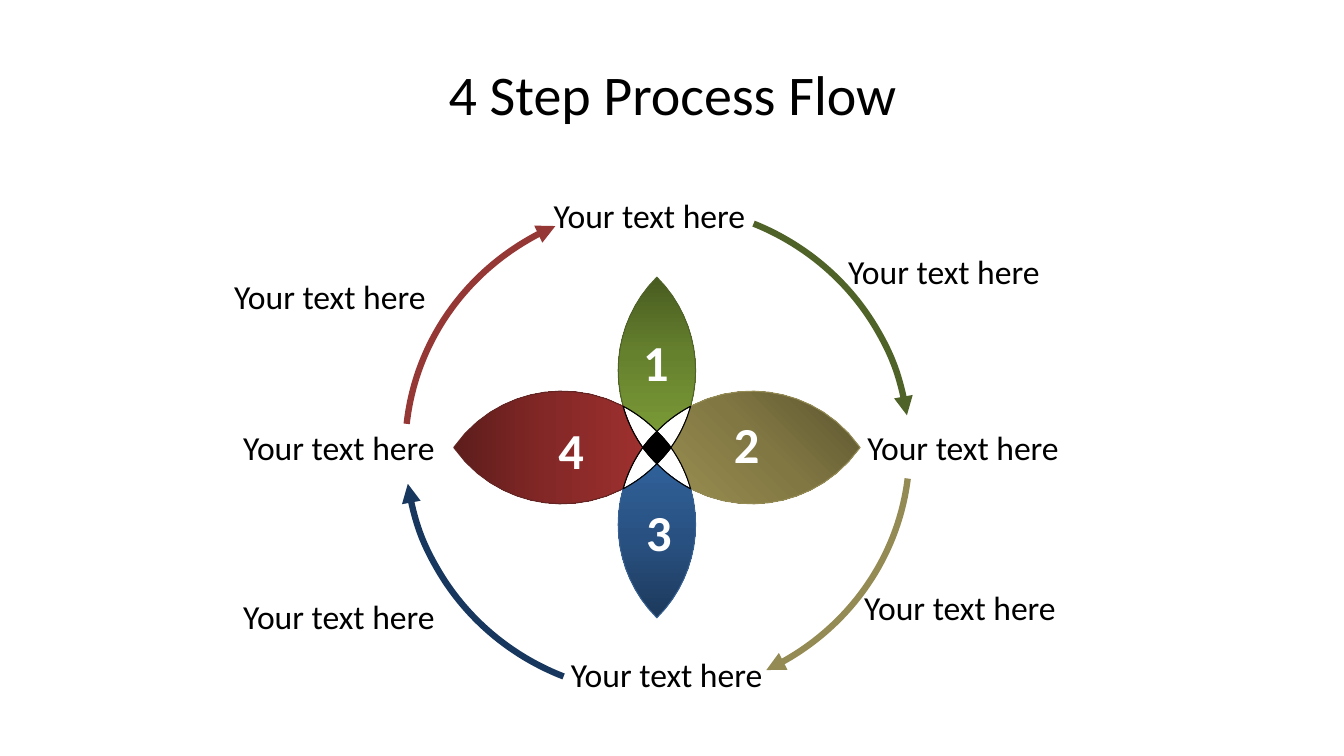
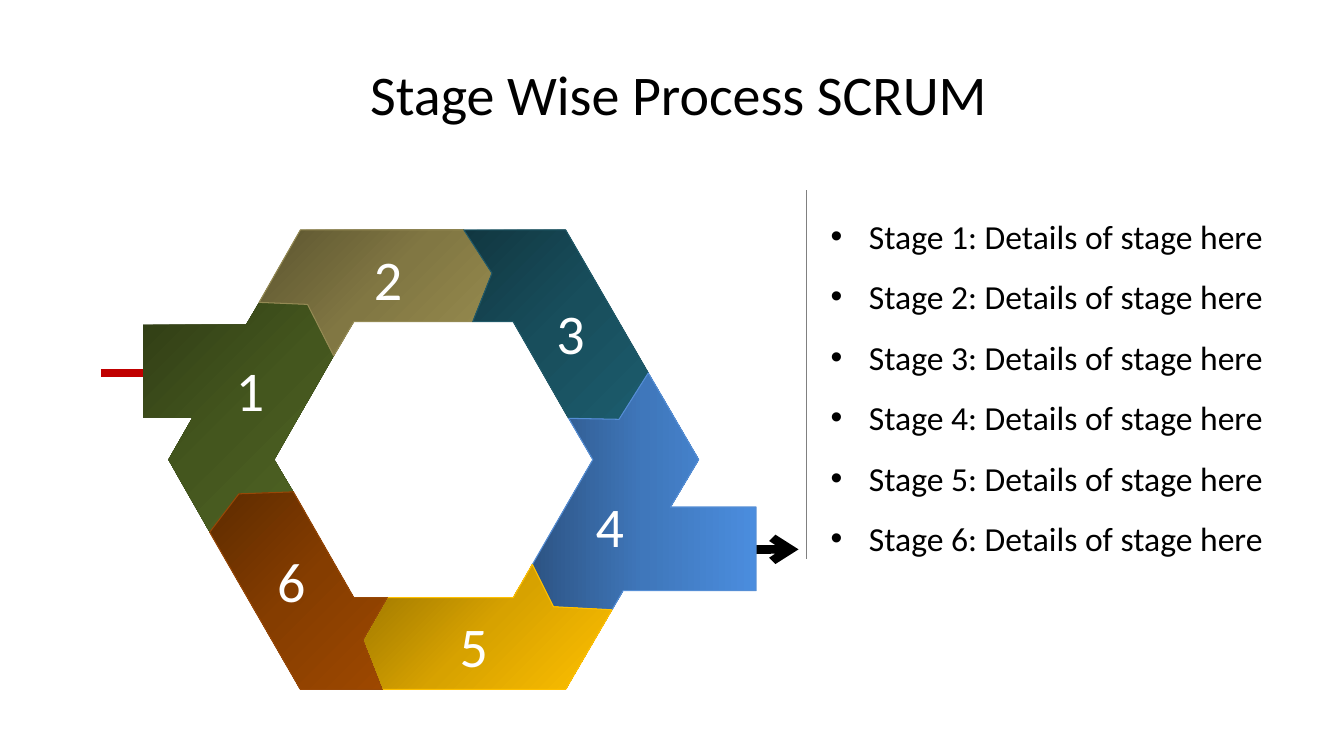
"""Build two process slides: a four-step flow and a six-stage ring."""
import copy
import itertools
import math

import pptx
import pptx.dml.color
import pptx.enum.shapes
import pptx.enum.text
import pptx.oxml.ns
import pptx.oxml.xmlchemy
import pptx.util
from lxml import etree
from pptx.util import Inches

FONT = "Calibri"
COLORS = {
    "black": "000000", "white": "FFFFFF", "rule": "808080", "entry": "C00000",
    "green": "799936", "olive": "998D4F", "blue": "306099", "red": "9C302E",
    "moss": "516624", "teal": "1C5C6D", "sky": "4B8DDE", "gold": "FFC000",
    "rust": "9E4800", "green edge": "4F6228", "olive edge": "948A54",
    "blue edge": "376092", "red edge": "632523", "teal edge": "215968",
    "sky edge": "558ED5", "gold edge": "FFC000", "rust edge": "984807",
    "navy arc": "17375E", "red arc": "953735",
}
SHADES = (0.594, 0.843, 1)
HUB = (6.515, 4.44)
BEND = 1.31
LABEL = "Your text here"
LABELS = [(5.37, 1.88), (8.29, 2.44), (8.48, 4.19), (8.45, 5.77),
          (5.54, 6.44), (2.29, 5.86), (2.29, 4.19), (2.2, 2.69)]
ARCS = [("green edge", 293.07, 352.18), ("olive edge", 276.6, 333.72),
        ("navy arc", 292.46, 352.18), ("red arc", 275.87, 335.49)]
DIGITS = [(6.28, 3.24), (7.18, 4.05), (6.31, 4.92), (5.44, 4.11)]
STAGES = [
    ("moss", 45, (2.24, 3.48),
     [(2.57, 3), (3.05, 3.02), (3.31, 3.53), (2.72, 4.56), (2.91, 4.88),
      (2.37, 4.9), (2.08, 5.28), (1.67, 4.56), (1.91, 4.14), (1.42, 4.14),
      (1.42, 3.22), (2.44, 3.22)]),
    ("olive", 45, (3.61, 2.38),
     [(4.6, 2.28), (2.98, 2.28), (2.57, 3), (3.05, 3.02), (3.31, 3.53),
      (3.51, 3.19), (4.69, 3.19), (4.88, 2.71)]),
    ("teal", 45, (5.42, 2.91),
     [(6.43, 3.7), (5.61, 2.28), (4.6, 2.28), (4.88, 2.71), (4.69, 3.19),
      (5.09, 3.19), (5.64, 4.15), (6.14, 4.16)]),
    ("sky", 0, (5.81, 4.83),
     [(6.43, 3.7), (6.93, 4.56), (6.65, 5.03), (7.5, 5.03), (7.5, 5.86),
      (6.18, 5.86), (6.07, 6.05), (5.49, 6.02), (5.28, 5.6), (5.88, 4.56),
      (5.64, 4.15), (6.14, 4.16)]),
    ("gold", 45, (4.46, 6.02),
     [(5.49, 6.02), (5.28, 5.6), (5.09, 5.93), (3.84, 5.93), (3.6, 6.35),
      (3.79, 6.84), (5.61, 6.84), (6.07, 6.05)]),
    ("rust", 45, (2.65, 5.37),
     [(3.84, 5.93), (3.51, 5.93), (2.91, 4.88), (2.37, 4.9), (2.08, 5.28),
      (2.98, 6.84), (3.79, 6.84), (3.6, 6.35)]),
]


def tint(name):
    """Return the named colour."""
    return pptx.dml.color.RGBColor.from_string(COLORS[name])


def style(para, size, color="black", bold=False):
    """Set the font of a paragraph."""
    font = para.font
    font.name, font.size, font.bold = FONT, pptx.util.Pt(size), bold
    font.color.rgb = tint(color)


def write(slide, box, lines, size, color="black", bold=False, align="LEFT", wrap=False):
    """Add a text box and return its frame."""
    frame = slide.shapes.add_textbox(*map(Inches, box)).text_frame
    frame.word_wrap = wrap
    frame.auto_size = pptx.enum.text.MSO_AUTO_SIZE.SHAPE_TO_FIT_TEXT
    frame.text = "\n".join(lines)
    for para in frame.paragraphs:
        para.alignment = getattr(pptx.enum.text.PP_ALIGN, align)
        style(para, size, color, bold)
    return frame


def title(slide, text, left=0.67):
    """Add the slide title."""
    frame = write(slide, (left, 0.3, 12, 1.25), [text], 40, align="CENTER", wrap=True)
    frame.auto_size = pptx.enum.text.MSO_AUTO_SIZE.NONE
    frame.vertical_anchor = pptx.enum.text.MSO_ANCHOR.MIDDLE


def stroke(line, color, width, head=None):
    """Set a line's colour, width and arrowhead."""
    line.color.rgb = tint(color)
    line.width = pptx.util.Pt(width)
    if head:
        tail = etree.SubElement(line._get_or_add_ln(), pptx.oxml.ns.qn("a:tailEnd"))
        tail.set("type", head)


def link(slide, start, end, color, width, head=None):
    """Add a straight line."""
    kind = pptx.enum.shapes.MSO_CONNECTOR.STRAIGHT
    line = slide.shapes.add_connector(kind, *map(Inches, start + end))
    stroke(line.line, color, width, head)
    etree.SubElement(line._element.spPr, pptx.oxml.ns.qn("a:effectLst"))


def shade(shape, color, angle):
    """Fill a shape with dark to full shades, the angle running clockwise."""
    fill = shape.fill
    fill.gradient()
    fill.gradient_angle = -angle % 360
    stops = shape._element.spPr.find(".//" + pptx.oxml.ns.qn("a:gsLst"))
    stops.insert(1, copy.deepcopy(stops[0]))
    for stop, place, share in zip(fill.gradient_stops, (0, 0.5, 1), SHADES):
        stop.position = place
        stop.color.rgb = pptx.dml.color.RGBColor(*(round(part * share) for part in tint(color)))


def outline(slide, points, edge=None):
    """Add a closed polygon."""
    start, *rest = [tuple(map(Inches, point)) for point in points]
    pen = slide.shapes.build_freeform(*start, scale=1.0)
    pen.add_line_segments(rest, close=True)
    shape = pen.convert_to_shape()
    shape.shadow.inherit = False
    if edge:
        stroke(shape.line, edge, 0)
    else:
        shape.line.fill.background()
    return shape


def bow(start, end, side, steps=12):
    """Return points on an arc that bulges right of travel if side is 1."""
    dx, dy = end[0] - start[0], end[1] - start[1]
    chord = math.hypot(dx, dy)
    base = math.sqrt(BEND ** 2 - chord ** 2 / 4)
    points = []
    for step in range(steps):
        part = step / steps
        rise = side * (math.sqrt(BEND ** 2 - ((part - 0.5) * chord) ** 2) - base) / chord
        points.append((HUB[0] + start[0] + part * dx - rise * dy,
                       HUB[1] + start[1] + part * dy + rise * dx))
    return points


def curve(slide, knots, sides, edge, flip=(1, 1)):
    """Add a shape of arcs around the hub, mirrored by flip."""
    knots = [(x * flip[0], y * flip[1]) for x, y in knots]
    turn = flip[0] * flip[1]
    pairs = zip(knots, knots[1:] + knots[:1], sides)
    return outline(slide, [point for start, end, side in pairs
                           for point in bow(start, end, side * turn)], edge)


def flower(slide):
    """Draw the four petals, their overlaps and the centre."""
    tall = [(0, -0.16), (0.335, -0.41), (0, -1.69), (-0.335, -0.41)]
    wide = [(0.14, 0), (0.335, -0.41), (2.015, 0), (0.335, 0.41)]
    for color, angle, knots, sides, flip in [
            ("green", 90, tall, (-1, 1, 1, -1), (1, 1)),
            ("olive", 135, wide, (1, -1, -1, 1), (1, 1)),
            ("red", 0, wide, (1, -1, -1, 1), (-1, 1)),
            ("blue", 270, tall, (-1, 1, 1, -1), (1, -1))]:
        shade(curve(slide, knots, sides, color + " edge", flip), color, angle)
    for flip in itertools.product((1, -1), repeat=2):
        gap = curve(slide, [tall[1], tall[0], wide[0]], (1, -1, 1), "black", flip)
        gap.fill.background()
    core = curve(slide, [(0, -0.16), (0.14, 0), (0, 0.16), (-0.14, 0)], (-1,) * 4, "black")
    core.fill.solid()
    core.fill.fore_color.rgb = tint("black")
    for count, spot in enumerate(DIGITS, 1):
        write(slide, spot + (0.46, 0.71), [str(count)], 36, "white", True)


def orbit(slide):
    """Draw the ring of arc arrows."""
    for turn, (color, start, end) in enumerate(ARCS):
        width, height = (4.85, 5) if turn % 2 else (5, 4.85)
        box = (6.52 - width / 2, 4.46 - height / 2, width, height)
        arc = slide.shapes.add_shape(pptx.enum.shapes.MSO_SHAPE.ARC, *map(Inches, box))
        arc.adjustments[0], arc.adjustments[1] = start * 0.6, end * 0.6
        arc.rotation = 90 * turn
        arc.shadow.inherit = False
        arc.fill.background()
        stroke(arc.line, color, 4.5, "triangle")


def ring(slide):
    """Draw the six stages with their entry and exit arrows."""
    link(slide, (1, 3.7), (1.83, 3.7), "entry", 6, "arrow")
    link(slide, (7.08, 5.45), (7.92, 5.45), "black", 6, "arrow")
    for count, (color, angle, spot, points) in enumerate(STAGES, 1):
        edge = color + " edge"
        shade(outline(slide, points, edge if edge in COLORS else None), color, angle)
        write(slide, spot + (0.48, 0.77), [str(count)], 40, "white")


def notes(slide):
    """Add the bulleted stage list."""
    lines = [f"Stage {count}: Details of stage here" for count in range(1, 7)]
    frame = write(slide, (8.14, 1.89, 4.63, 3.67), [], 24, wrap=True)
    for count, text in enumerate(lines):
        para = frame.add_paragraph() if count else frame.paragraphs[0]
        para.text = text
        props = para._p.get_or_add_pPr()
        for old in list(props):
            props.remove(old)
        props.set("marL", str(Inches(0.38)))
        props.set("indent", str(Inches(-0.38)))
        etree.SubElement(props, pptx.oxml.ns.qn("a:buFont")).set("typeface", "Arial")
        etree.SubElement(props, pptx.oxml.ns.qn("a:buChar")).set("char", "•")
        para.line_spacing = 1.5
        style(para, 24)


def main():
    """Build and save the slides."""
    deck = pptx.Presentation()
    deck.slide_width, deck.slide_height = Inches(13.33), Inches(7.5)
    flow, scrum = (deck.slides.add_slide(deck.slide_layouts[6]) for _ in range(2))
    title(flow, "4 Step Process Flow")
    flower(flow)
    orbit(flow)
    for spot in LABELS:
        write(flow, spot + (2.12, 0.5), [LABEL], 24, align="RIGHT")
    title(scrum, "Stage Wise Process SCRUM", 0.73)
    ring(scrum)
    link(scrum, (8, 1.89), (8, 5.55), "rule", 0.75)
    notes(scrum)
    deck.save("out.pptx")


if __name__ == "__main__":
    main()
